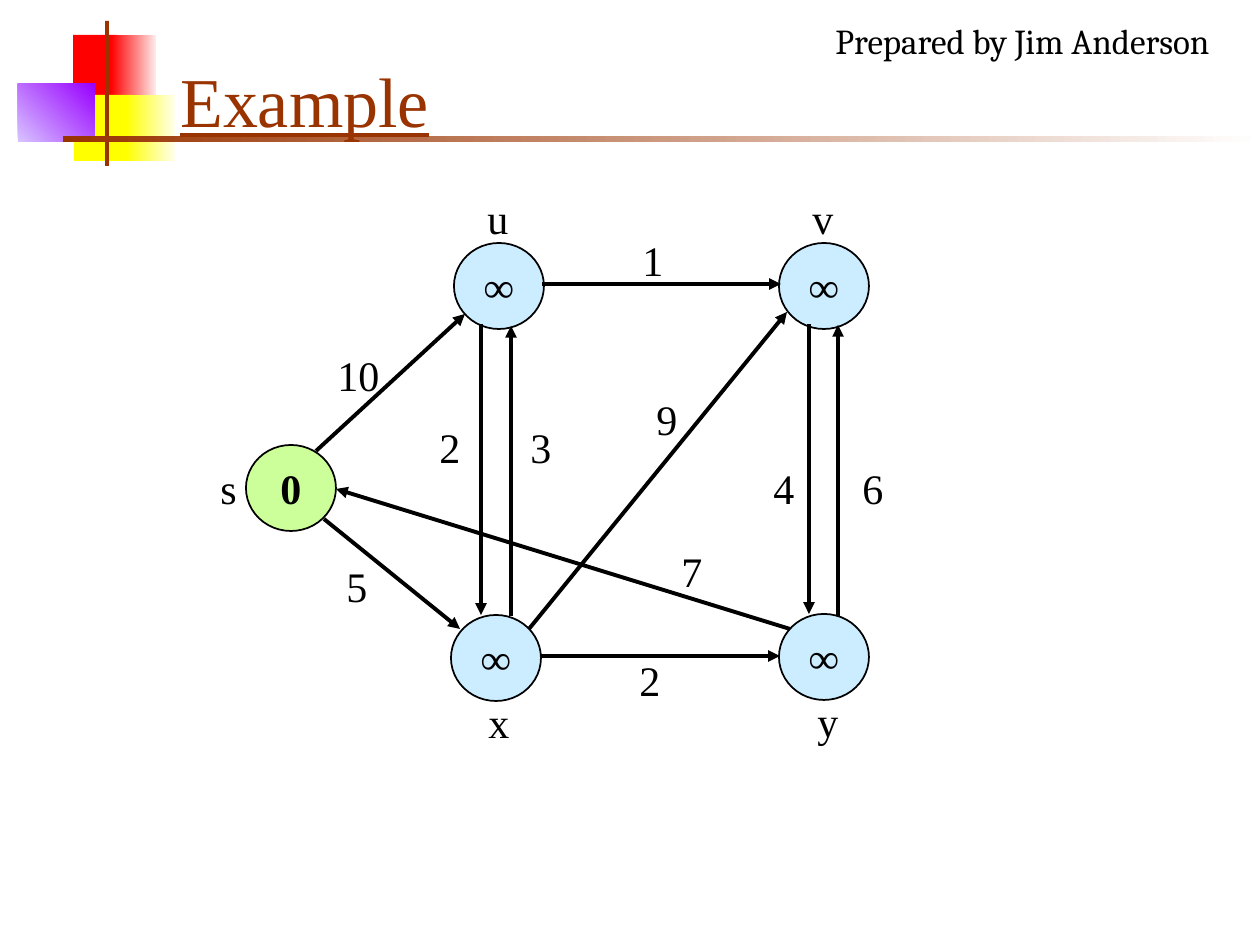
"""Build a slide with a weighted directed graph for a shortest-path example."""
from dataclasses import dataclass
from typing import NamedTuple, Optional

from lxml.etree import SubElement
from pptx import Presentation
from pptx.dml.color import RGBColor as Rgb
from pptx.enum.shapes import MSO_CONNECTOR as Connector, MSO_SHAPE as Preset
from pptx.enum.text import MSO_ANCHOR as Anchor, MSO_AUTO_SIZE as AutoSize, PP_ALIGN as Align
from pptx.oxml.ns import qn
from pptx.util import Pt

PIXEL = 914400 / 126


@dataclass(frozen=True)
class Theme:
    font: str = "Times New Roman"
    credit_font: str = "Cambria"
    ink: str = "000000"
    brown: str = "993300"
    source_fill: str = "CCFF99"
    node_fill: str = "CCECFF"
    title_size: int = 40
    graph_size: int = 24
    credit_size: int = 20
    outline: float = 1
    edge: float = 2.25


class Block(NamedTuple):
    left: int
    top: int
    width: int
    height: int
    color: str
    end_color: Optional[str] = None
    angle: int = 0


class Node(NamedTuple):
    name: str
    distance: str
    left: int
    top: int
    label_left: int
    label_top: int
    fill: str


class Edge(NamedTuple):
    weight: str
    start: tuple[int, int]
    end: tuple[int, int]
    label_left: int
    label_top: int


THEME = Theme()
NODE_SIZE = (90, 86)
LABEL_HEIGHT = 63
LABEL_WIDTHS = {"s": 42, "10": 67}
LABEL_WIDTH = 47

BLOCKS = [
    Block(73, 35, 44, 66, "FF0000"),
    Block(111, 35, 45, 66, "FF0000", "FFEAEA"),
    Block(74, 95, 58, 66, "FFFF00"),
    Block(126, 95, 50, 66, "FFFF00", "FFFFF0"),
    Block(18, 84, 77, 58, "D8C4FF", "9900FF", 45),
    Block(105, 21, 4, 145, THEME.brown),
    Block(63, 136, 1197, 6, THEME.brown, "FFFFFF"),
]
NODES = [
    Node("s", "0", 246, 445, 208, 456, THEME.source_fill),
    Node("u", "∞", 454, 243, 475, 186, THEME.node_fill),
    Node("v", "∞", 779, 243, 800, 186, THEME.node_fill),
    Node("x", "∞", 451, 615, 476, 690, THEME.node_fill),
    Node("y", "∞", 779, 614, 805, 689, THEME.node_fill),
]
EDGES = [
    Edge("10", (316, 451), (465, 314), 325, 343),
    Edge("5", (324, 519), (460, 629), 334, 554),
    Edge("2", (481, 324), (481, 615), 427, 415),
    Edge("3", (511, 616), (511, 326), 518, 415),
    Edge("4", (809, 324), (809, 614), 761, 456),
    Edge("6", (838, 616), (838, 325), 850, 456),
    Edge("2", (541, 656), (780, 656), 627, 648),
    Edge("1", (542, 284), (781, 284), 630, 228),
    Edge("9", (529, 629), (787, 312), 644, 387),
    Edge("7", (790, 629), (336, 489), 669, 539),
]


def emu(*pixels: int) -> list[int]:
    """Turn pixel lengths into EMU."""
    return [round(pixel * PIXEL) for pixel in pixels]


def write(shape, text: str, *, size: int = THEME.graph_size, font: str = THEME.font,
          color: str = THEME.ink, bold: bool = False, underline: bool = False,
          align: Align = Align.LEFT, anchor: Anchor = Anchor.TOP,
          wrap: bool = False, grow: bool = False) -> None:
    """Put one formatted line of text into a shape."""
    frame = shape.text_frame
    frame.word_wrap = wrap
    frame.auto_size = AutoSize.SHAPE_TO_FIT_TEXT if grow else AutoSize.NONE
    frame.vertical_anchor = anchor
    para = frame.paragraphs[0]
    para.alignment = align
    span = para.add_run()
    span.text = text
    span.font.size = Pt(size)
    span.font.name = font
    span.font.color.rgb = Rgb.from_string(color)
    span.font.bold = bold
    span.font.underline = underline


def draw_block(page, block: Block) -> None:
    """Draw a plain or gradient rectangle of the page decoration."""
    shape = page.shapes.add_shape(Preset.RECTANGLE, *emu(*block[:4]))
    shape.shadow.inherit = False
    shape.line.fill.background()
    if block.end_color is None:
        shape.fill.solid()
        shape.fill.fore_color.rgb = Rgb.from_string(block.color)
        return
    shape.fill.gradient()
    shape.fill.gradient_angle = block.angle
    colors = (block.color, block.end_color)
    for position, (stop, color) in enumerate(zip(shape.fill.gradient_stops, colors)):
        stop.position = position
        stop.color.rgb = Rgb.from_string(color)


def draw_label(page, text: str, left: int, top: int) -> None:
    """Write a node name or an edge weight."""
    width = LABEL_WIDTHS.get(text, LABEL_WIDTH)
    box = page.shapes.add_textbox(*emu(left, top, width, LABEL_HEIGHT))
    write(box, text, grow=True)


def draw_node(page, node: Node) -> None:
    """Draw a node with its distance and name."""
    circle = page.shapes.add_shape(Preset.OVAL, *emu(node.left, node.top, *NODE_SIZE))
    circle.shadow.inherit = False
    circle.fill.solid()
    circle.fill.fore_color.rgb = Rgb.from_string(node.fill)
    circle.line.color.rgb = Rgb.from_string(THEME.ink)
    circle.line.width = Pt(THEME.outline)
    write(circle, node.distance, bold=True, align=Align.CENTER, anchor=Anchor.MIDDLE)
    draw_label(page, node.name, node.label_left, node.label_top)


def draw_edge(page, edge: Edge) -> None:
    """Draw an arrow with its weight."""
    arrow = page.shapes.add_connector(Connector.STRAIGHT, *emu(*edge.start, *edge.end))
    arrow.line.color.rgb = Rgb.from_string(THEME.ink)
    arrow.line.width = Pt(THEME.edge)
    properties = arrow.element.spPr
    SubElement(properties.find(qn("a:ln")), qn("a:tailEnd"), type="triangle")
    SubElement(properties, qn("a:effectLst"))
    draw_label(page, edge.weight, edge.label_left, edge.label_top)


def main() -> None:
    """Build and save the deck."""
    deck = Presentation()
    deck.slide_width, deck.slide_height = emu(1260, 945)
    page = deck.slides.add_slide(deck.slide_layouts[6])
    for block in BLOCKS:
        draw_block(page, block)
    title = page.shapes.add_textbox(*emu(168, 32, 1074, 116))
    write(title, "Example", size=THEME.title_size, color=THEME.brown,
          underline=True, anchor=Anchor.BOTTOM, wrap=True)
    for node in NODES:
        draw_node(page, node)
    for edge in EDGES:
        draw_edge(page, edge)
    credit = page.shapes.add_textbox(*emu(823, 13, 450, 55))
    write(credit, "Prepared by Jim Anderson", size=THEME.credit_size,
          font=THEME.credit_font, wrap=True, grow=True)
    deck.save("out.pptx")


main()
